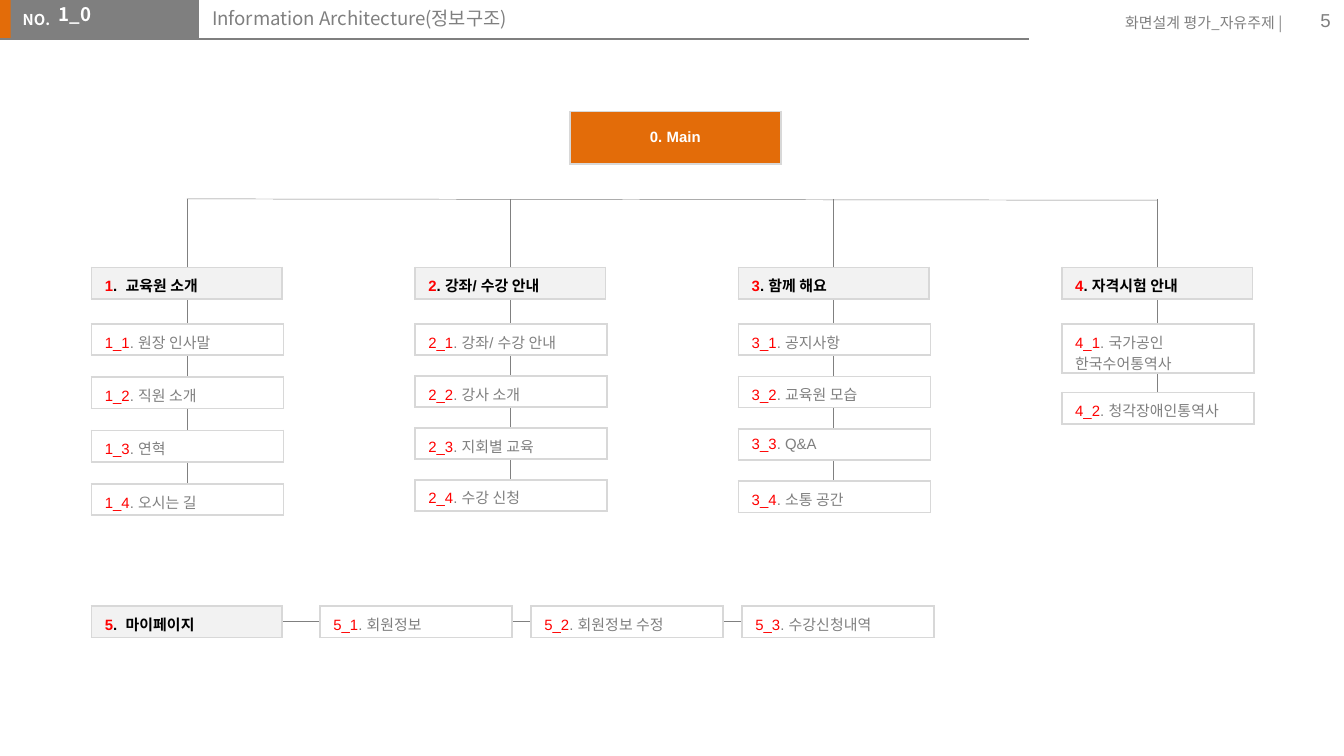
from lxml.etree import SubElement
from pptx import Presentation
from pptx.dml.color import RGBColor
from pptx.enum.shapes import MSO_CONNECTOR, MSO_SHAPE
from pptx.enum.text import MSO_ANCHOR, PP_ALIGN
from pptx.oxml import parse_xml
from pptx.oxml.ns import nsdecls, qn
from pptx.util import Inches, Pt

COLORS = {
    "orange": "E36C09", "gray": "7F7F7F", "line": "808080", "border": "D8D8D8",
    "header": "F2F2F2", "white": "FFFFFF", "black": "000000", "red": "FF0000",
}
LATIN, KOREAN = "Arial", "Noto Sans CJK KR"
BOX_WIDTH, BOX_HEIGHT = 1.43, 0.23

# Number, heading, distance from first to last page, page names
SECTIONS = [
    ("1", ".  교육원 소개", 1.19, ["원장 인사말", "직원 소개", "연혁", "오시는 길"]),
    ("2", ". 강좌/ 수강 안내", 1.16, ["강좌/ 수강 안내", "강사 소개", "지회별 교육", "수강 신청"]),
    ("3", ". 함께 해요", 1.17, ["공지사항", "교육원 모습", "Q&A", "소통 공간"]),
    ("4", ". 자격시험 안내", 0.51, ["국가공인 한국수어통역사", "청각장애인통역사"]),
]
MY_PAGE = ("5", ".  마이페이지", 3.14, ["회원정보", "회원정보 수정", "수강신청내역"])


def rgb(name):
    return RGBColor.from_string(COLORS[name])


def add_run(paragraph, text, color, size=8, bold=False, font=LATIN):
    run = paragraph.add_run()
    run.text = text
    run.font.size = Pt(size)
    run.font.bold = bold
    run.font.name = font
    run.font.color.rgb = rgb(color)
    east_asian = SubElement(run.font._element, qn("a:ea"))
    east_asian.set("typeface", KOREAN)


def add_line(slide, start, end, color="line", width=0.25):
    points = [Inches(value) for value in (*start, *end)]
    line = slide.shapes.add_connector(MSO_CONNECTOR.STRAIGHT, *points)
    line.line.color.rgb = rgb(color)
    line.line.width = Pt(width)
    SubElement(line._element.spPr, qn("a:effectLst"))


def add_bar(slide, left, width, height, color):
    bar = slide.shapes.add_shape(
        MSO_SHAPE.RECTANGLE, Inches(left), 0, Inches(width), Inches(height))
    bar.shadow.inherit = False
    bar.fill.solid()
    bar.fill.fore_color.rgb = rgb(color)
    bar.line.fill.background()


def add_label(slide, box, text, size, color="gray", bold=False, font=KOREAN,
              align=PP_ALIGN.LEFT, anchor=MSO_ANCHOR.TOP, inset=0.05):
    label = slide.shapes.add_textbox(*[Inches(value) for value in box])
    frame = label.text_frame
    frame.word_wrap = True
    frame.vertical_anchor = anchor
    frame.margin_top = frame.margin_bottom = Inches(inset)
    paragraph = frame.paragraphs[0]
    paragraph.alignment = align
    add_run(paragraph, text, color, size, bold, font)
    return paragraph


def add_box(slide, left, top, runs, fill="white", width=BOX_WIDTH,
            height=BOX_HEIGHT, row_height=0, bold=False, align=PP_ALIGN.LEFT):
    """One-cell table whose row grows with its text; runs is a list of (text, color)."""
    frame = slide.shapes.add_table(
        1, 1, Inches(left), Inches(top), Inches(width), Inches(height))
    table = frame.table
    table.first_row = table.horz_banding = False
    table.rows[0].height = Inches(row_height)
    frame.height = Inches(height)
    cell = table.cell(0, 0)
    cell.vertical_anchor = MSO_ANCHOR.MIDDLE
    cell.fill.solid()
    cell.fill.fore_color.rgb = rgb(fill)
    properties = cell._tc.get_or_add_tcPr()
    for index, side in enumerate("LRTB"):
        properties.insert(index, parse_xml(
            f'<a:ln{side} {nsdecls("a")} w="{Pt(1)}"><a:solidFill>'
            f'<a:srgbClr val="{COLORS["border"]}"/></a:solidFill></a:ln{side}>'))
    paragraph = cell.text_frame.paragraphs[0]
    paragraph.alignment = align
    for text, color in runs:
        add_run(paragraph, text, color, bold=bold)


def add_heading(slide, left, top, number, name):
    add_box(slide, left, top, [(number, "red"), (name, "black")],
            fill="header", width=1.42, bold=True)


def add_page(slide, left, top, number, index, name, height=BOX_HEIGHT):
    add_box(slide, left, top,
            [(f"{number}_{index}", "red"), (f". {name}", "gray")], height=height)


def add_page_header(slide, width, height):
    add_bar(slide, -0.01, 0.12, height, "orange")
    add_bar(slide, 0.08, 1.4, height, "gray")
    add_line(slide, (0, height), (7.66, height), "gray", 0.75)
    add_label(slide, (0.07, 0.03, 0.41, 0.24), "NO.", 8, "white", True)
    number = add_label(slide, (0.09, -0.06, 1.1, 0.31), "1_0", 10, "white", True, inset=0.1)
    number.space_before = Pt(2)
    indents = number._p.get_or_add_pPr()
    indents.set("marL", str(Inches(0.5)))
    indents.set("indent", str(Inches(-0.25)))
    add_label(slide, (1.48, -0.03, 6.14, 0.32), "Information Architecture(정보구조)", 10, inset=0.1)
    add_label(slide, (width - 2, 0.05, 1.64, 0.24), "화면설계 평가_자유주제 |", 8,
              align=PP_ALIGN.RIGHT)
    add_label(slide, (width - 0.6, 0, 0.6, 0.3), "5", 10, font=LATIN,
              align=PP_ALIGN.RIGHT, anchor=MSO_ANCHOR.MIDDLE)


def add_section_column(slide, left, top, bus_top, section):
    number, name, span, pages = section
    first_top = top + 0.42
    center = left + 0.71
    gap = span / (len(pages) - 1)
    add_line(slide, (center, bus_top), (center, first_top + span))
    add_heading(slide, left, top, number, name)
    for index, page in enumerate(pages):
        height = 0.37 if len(page) > 10 else BOX_HEIGHT
        add_page(slide, left, first_top + gap * index, number, index + 1, page, height)


def add_site_map(slide, left, top, width):
    pitch = (width - BOX_WIDTH) / (len(SECTIONS) - 1)
    bus_top = top + 0.65
    first_center = left + 0.71
    last_center = first_center + width - BOX_WIDTH
    add_line(slide, (last_center, bus_top + 0.01), (first_center, bus_top))
    add_box(slide, left + 3.56, top, [("0. Main", "white")], "orange", width=1.57,
            height=0.39, row_height=0.39, bold=True, align=PP_ALIGN.CENTER)
    for index, section in enumerate(SECTIONS):
        add_section_column(slide, left + pitch * index, top + 1.16, bus_top, section)


def add_my_page_row(slide, left, top):
    number, name, span, pages = MY_PAGE
    pitch = span / (len(pages) - 1)
    add_line(slide, (left + 5.84, top + 0.11), (left + 1.17, top + 0.11))
    add_heading(slide, left, top, number, name)
    for index, page in enumerate(pages):
        add_page(slide, left + 1.7 + pitch * index, top, number, index + 1, page)


def main():
    presentation = Presentation()
    presentation.slide_width = Inches(10)
    presentation.slide_height = Inches(10) * 9 // 16
    slide = presentation.slides.add_slide(presentation.slide_layouts[6])
    add_page_header(slide, 10, 0.29)
    add_site_map(slide, 0.68, 0.83, 8.65)
    add_my_page_row(slide, 0.68, 4.51)
    presentation.save("out.pptx")


if __name__ == "__main__":
    main()
